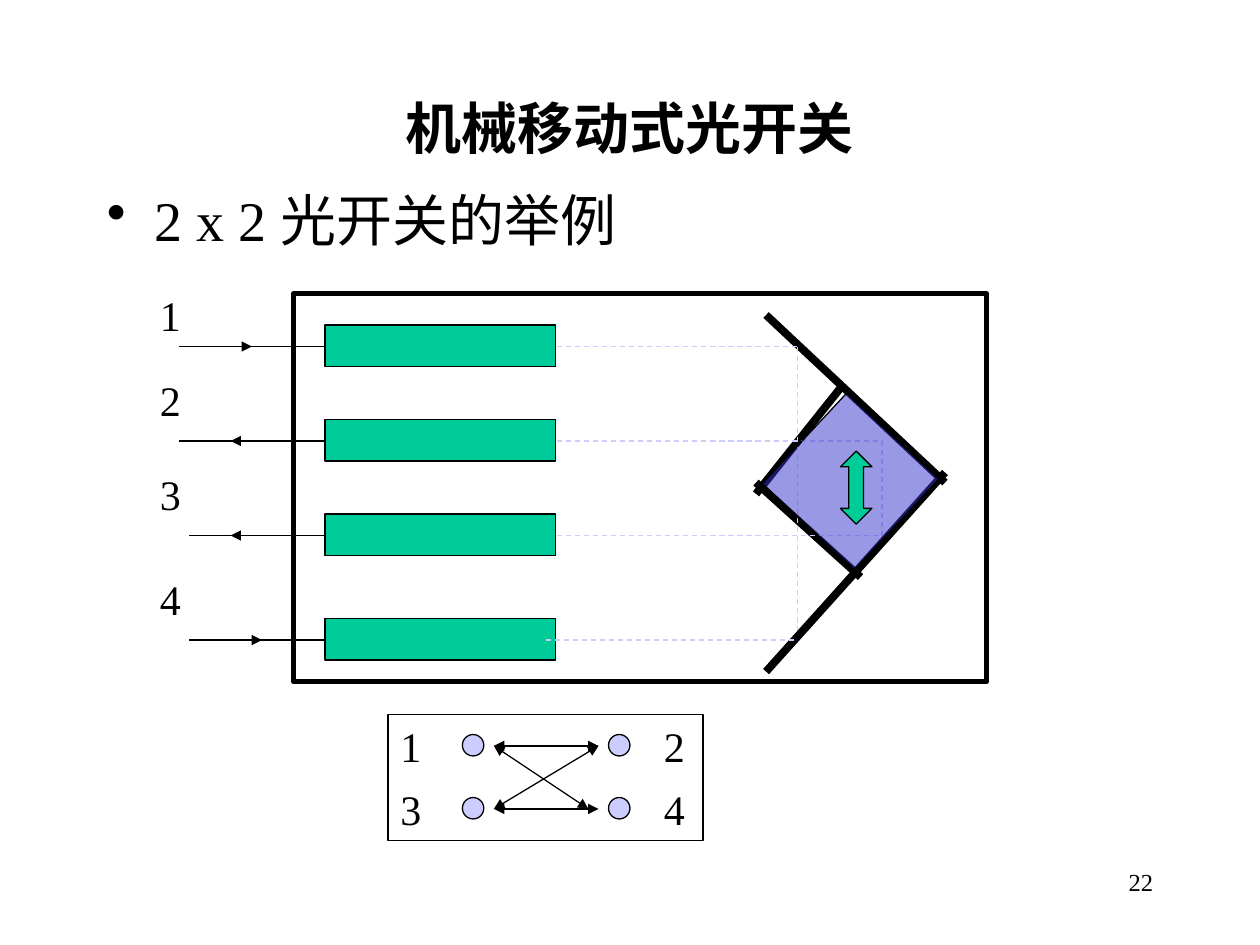
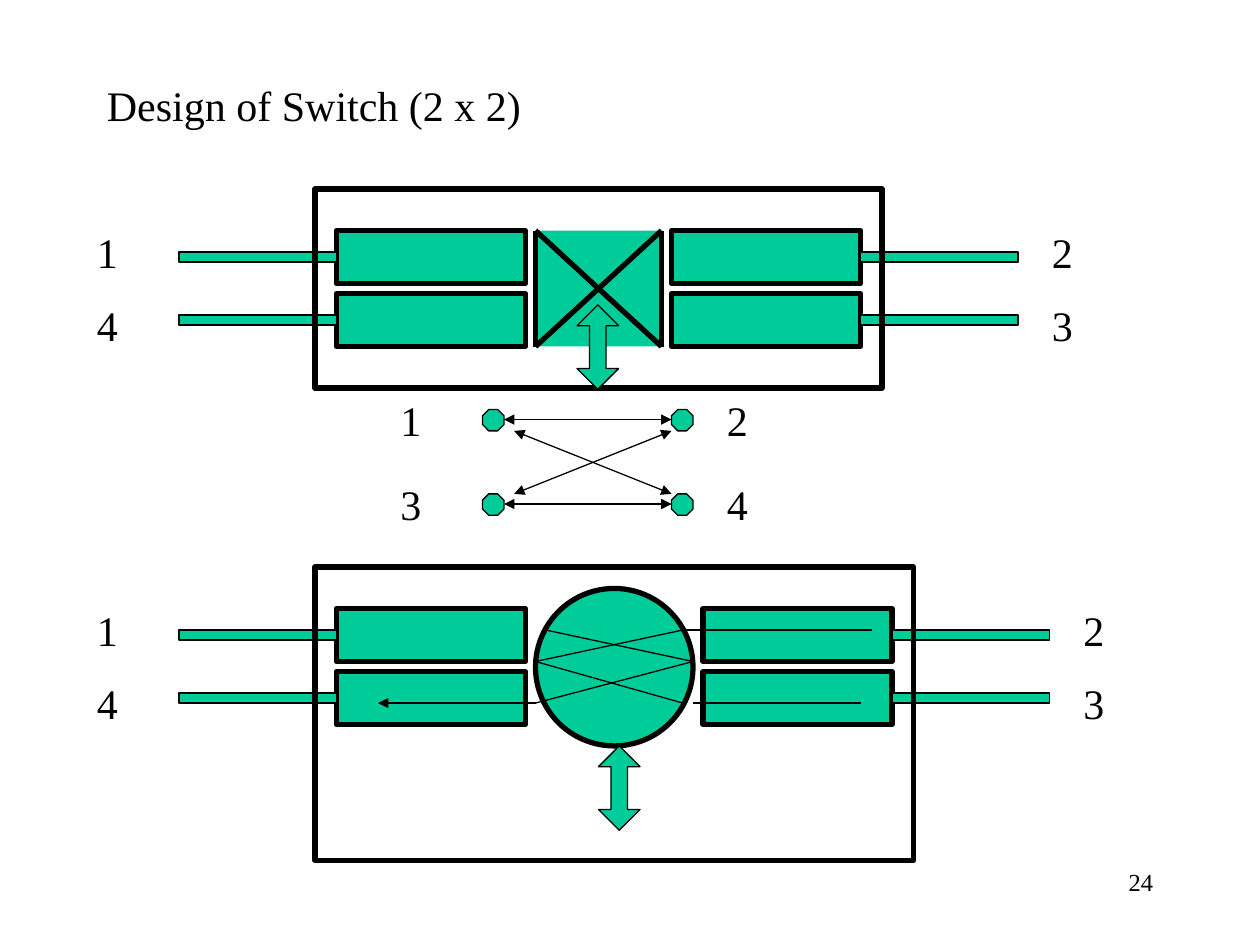
import lxml.etree
import pptx
import pptx.dml.color
import pptx.enum.dml
import pptx.enum.shapes
import pptx.enum.text
import pptx.oxml.ns
import pptx.util

Inches = pptx.util.Inches
Pt = pptx.util.Pt
qn = pptx.oxml.ns.qn
hex_color = pptx.dml.color.RGBColor.from_string
SHAPE = pptx.enum.shapes.MSO_SHAPE
LEFT = pptx.enum.text.PP_ALIGN.LEFT
CENTER = pptx.enum.text.PP_ALIGN.CENTER
RIGHT = pptx.enum.text.PP_ALIGN.RIGHT

FONT = "Times New Roman"
BLACK = "000000"
GREEN = "00CC99"
LAVENDER = "CCCCFF"
INDIGO = "3333CC"
THIN, FRAME, MIRROR = 0.75, 3, 4.5


def add_block(slide, kind, left, top, width, height, fill=None, weight=THIN):
    """Add a preset shape; no fill or a weight of 0 leaves that part empty."""
    block = slide.shapes.add_shape(
        kind, Inches(left), Inches(top), Inches(width), Inches(height))
    block.shadow.inherit = False
    if fill:
        block.fill.solid()
        block.fill.fore_color.rgb = hex_color(fill)
    else:
        block.fill.background()
    if weight:
        block.line.color.rgb = hex_color(BLACK)
        block.line.width = Pt(weight)
    else:
        block.line.fill.background()
    return block


def add_ray(slide, x1, y1, x2, y2, color=BLACK, weight=THIN, dashed=False, arrows=()):
    """Add a straight line; arrows names the ends, headEnd before tailEnd."""
    ray = slide.shapes.add_connector(
        pptx.enum.shapes.MSO_CONNECTOR.STRAIGHT,
        Inches(x1), Inches(y1), Inches(x2), Inches(y2))
    ray.line.color.rgb = hex_color(color)
    ray.line.width = Pt(weight)
    if dashed:
        ray.line.dash_style = pptx.enum.dml.MSO_LINE.DASH
    properties = ray._element.spPr
    for end in arrows:
        lxml.etree.SubElement(properties.find(qn("a:ln")), qn(f"a:{end}"), type="triangle")
    lxml.etree.SubElement(properties, qn("a:effectLst"))


deck = pptx.Presentation()
deck.slide_width, deck.slide_height = Inches(10), Inches(7.5)
mirror_slide = deck.slides.add_slide(deck.slide_layouts[6])
design_slide = deck.slides.add_slide(deck.slide_layouts[6])
labels = []  # slide, text, left, top

# Moving-mirror switch: four ports with collimators
ports = [
    ("1", 2.75, 1.42, 1.58, 2, 2.25),
    ("2", 3.5, 1.42, 2.17, 1.83, 2.92),
    ("3", 4.25, 1.5, 2.17, 1.83, 3.67),
    ("4", 5.08, 1.5, 1.67, 2.08, 4.5),
]
for number, y, lead_start, arrow_start, arrow_end, label_top in ports:
    add_block(mirror_slide, SHAPE.RECTANGLE, 2.58, y - 0.17, 1.83, 0.33, GREEN)
    add_ray(mirror_slide, lead_start, y, 2.58, y)
    add_ray(mirror_slide, arrow_start, y, arrow_end, y, arrows=["tailEnd"])
    labels.append((mirror_slide, number, 1.17, label_top))

mirrors = [(6.08, 2.5, 7.5, 3.83), (7.5, 3.75, 6.08, 5.33),
           (6.67, 3.08, 6, 3.92), (6, 3.83, 6.83, 4.58)]
for ends in mirrors:
    add_ray(mirror_slide, *ends, weight=MIRROR)

beams = [(4.42, 2.75, 6.33, 2.75), (6.33, 2.75, 6.33, 5), (4.33, 5.08, 6.33, 5.08),
         (4.42, 4.25, 7, 4.25), (4.42, 3.5, 7, 3.5), (7, 3.5, 7, 4.25)]
for ends in beams:
    add_ray(mirror_slide, *ends, color=LAVENDER, dashed=True)

prism = add_block(mirror_slide, SHAPE.RECTANGLE, 6.26, 3.32, 0.98, 1, INDIGO)
prism.rotation = 133
prism_color = prism._element.spPr.find(qn("a:solidFill"))[0]
lxml.etree.SubElement(prism_color, qn("a:alpha"), val="50000")
add_block(mirror_slide, SHAPE.RECTANGLE, 2.33, 2.33, 5.5, 3.08, weight=FRAME)
add_block(mirror_slide, SHAPE.RECTANGLE, 3.08, 5.67, 2.5, 1)

# Two switch designs: collimators and fibres on both sides of a moving element
for frame_top, frame_width, frame_height, right in [(1.5, 4.5, 1.58, 5.33),
                                                    (4.5, 4.75, 2.33, 5.58)]:
    for row, numbers in enumerate(["12", "43"]):
        row_top = frame_top + 0.5 * row
        sides = [(2.67, 1.42, 0.67), (right, right + 1.5, right + 2.92)]
        for number, (collimator, fibre, label_left) in zip(numbers, sides):
            add_block(design_slide, SHAPE.RECTANGLE, collimator, row_top + 0.33,
                      1.5, 0.42, GREEN, FRAME)
            add_block(design_slide, SHAPE.RECTANGLE, fibre, row_top + 0.5, 1.25, 0.08, GREEN)
            labels.append((design_slide, number, label_left, frame_top + 0.25 + 0.58 * row))
    add_block(design_slide, SHAPE.RECTANGLE, 2.5, frame_top, frame_width, frame_height,
              weight=FRAME)

add_block(design_slide, SHAPE.RECTANGLE, 4.25, 1.83, 1, 0.92, GREEN, 0)
for top_x, bottom_x in [(4.25, 5.25), (5.25, 4.25), (4.25, 4.25), (5.25, 5.25)]:
    add_ray(design_slide, top_x, 1.83, bottom_x, 2.75, weight=FRAME)

add_block(design_slide, SHAPE.OVAL, 4.25, 4.67, 1.25, 1.25, GREEN, FRAME)
light_path = [(4.33, 5, 5.5, 5.25), (5.5, 5.25, 4.25, 5.58), (6.92, 5, 5.42, 5),
              (5.42, 5, 4.25, 5.25), (4.25, 5.25, 5.42, 5.58), (5.5, 5.58, 6.83, 5.58)]
for ends in light_path:
    add_ray(design_slide, *ends)
add_ray(design_slide, 4.25, 5.58, 3, 5.58, arrows=["tailEnd"])

# Arrows that show the direction of movement
for slide, left, top, width, height, head in [(mirror_slide, 6.67, 3.58, 0.25, 0.58, 0.47),
                                              (design_slide, 4.58, 2.42, 0.33, 0.67, 0.4),
                                              (design_slide, 4.75, 5.92, 0.33, 0.67, 0.4)]:
    motion = add_block(slide, SHAPE.UP_DOWN_ARROW, left, top, width, height, GREEN)
    motion.adjustments[0] = 0.5
    motion.adjustments[1] = head

# Connection maps: ports 1 and 3 reach ports 2 and 4
connection_maps = [
    (mirror_slide, SHAPE.OVAL, LAVENDER, (3.67, 4.83), (5.83, 6.33), (3.08, 5.17), (5.67, 6.17),
     [(3.92, 5.92, 4.75, 5.92), (3.92, 6.42, 4.75, 6.42),
      (3.92, 5.92, 4.67, 6.42), (3.92, 6.42, 4.75, 5.92)]),
    (design_slide, SHAPE.OCTAGON, GREEN, (3.83, 5.33), (3.25, 3.92), (3.08, 5.67), (3.08, 3.75),
     [(4, 3.33, 5.33, 3.33), (4, 4, 5.33, 4),
      (4.08, 3.42, 5.33, 3.92), (4.08, 3.92, 5.33, 3.42)]),
]
for slide, node, color, node_lefts, node_tops, label_lefts, label_tops, links in connection_maps:
    for row in range(2):
        for column in range(2):
            add_block(slide, node, node_lefts[column], node_tops[row], 0.17, 0.17, color)
            labels.append((slide, str(2 * row + column + 1), label_lefts[column], label_tops[row]))
    for ends in links:
        add_ray(slide, *ends, arrows=["headEnd", "tailEnd"])

# All wording: slide, text, left, top, width, height, size, alignment, bold, bulleted
wording = [
    (mirror_slide, "机械移动式光开关", 0.75, 0.67, 8.5, 0.67, 32, CENTER, True, False),
    (mirror_slide, "2 x 2 光开关的举例", 0.75, 1.42, 8.5, 0.67, 32, LEFT, False, True),
    (design_slide, "Design of Switch (2 x 2)", 0.75, 0.58, 6.17, 0.5, 24, LEFT, False, False),
]
for slide, number in [(mirror_slide, "22"), (design_slide, "24")]:
    wording.append((slide, number, 7.17, 6.83, 2.08, 0.5, 14, RIGHT, False, False))
for label in labels:
    wording.append((*label, 0.5, 0.5, 24, LEFT, False, False))

for slide, text, left, top, width, height, size, alignment, bold, bulleted in wording:
    frame = slide.shapes.add_textbox(
        Inches(left), Inches(top), Inches(width), Inches(height)).text_frame
    frame.word_wrap = True
    if alignment == CENTER:
        frame.vertical_anchor = pptx.enum.text.MSO_ANCHOR.MIDDLE
    paragraph = frame.paragraphs[0]
    paragraph.alignment = alignment
    if bulleted:
        properties = paragraph._p.get_or_add_pPr()
        properties.set("marL", str(Inches(0.38)))
        properties.set("indent", str(-Inches(0.38)))
        lxml.etree.SubElement(properties, qn("a:buChar"), char="•")
    run = paragraph.add_run()
    run.text = text
    run.font.name = FONT
    run.font.size = Pt(size)
    run.font.bold = bold
    run.font.color.rgb = hex_color(BLACK)

deck.save("out.pptx")
